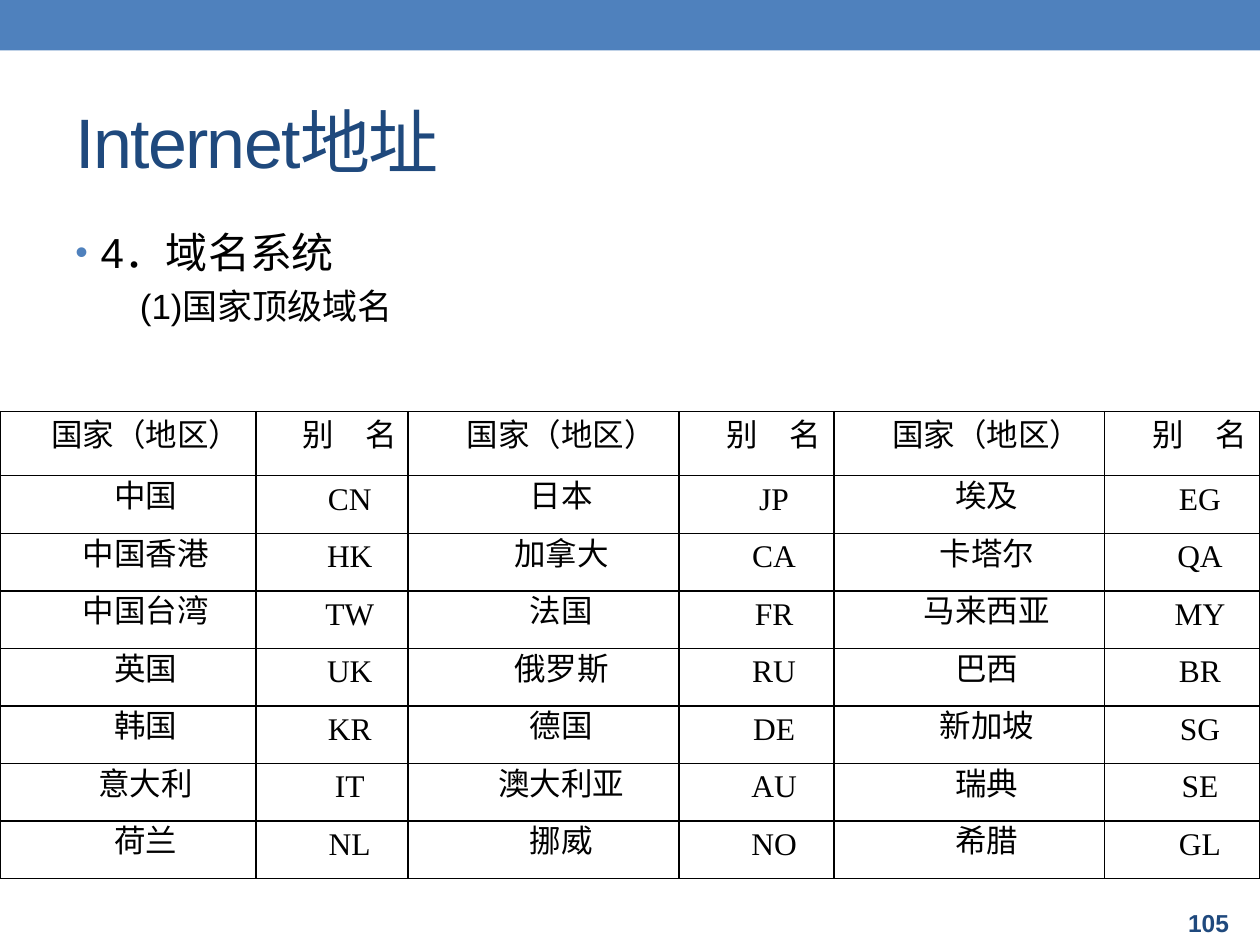
from lxml import etree
from pptx import Presentation
from pptx.dml.color import RGBColor
from pptx.enum.shapes import MSO_SHAPE
from pptx.enum.text import MSO_ANCHOR, MSO_AUTO_SIZE, PP_ALIGN
from pptx.oxml.ns import qn
from pptx.util import Cm, Pt

RECT = MSO_SHAPE.RECTANGLE
MIDDLE, TOP = MSO_ANCHOR.MIDDLE, MSO_ANCHOR.TOP
LEFT, CENTER = PP_ALIGN.LEFT, PP_ALIGN.CENTER
FIXED = MSO_AUTO_SIZE.NONE

COLORS = {"bar": "4F81BD", "title": "1F497D", "text": "000000"}

HEAD = ["国家（地区）", "别　名"] * 3
ROWS = [
    ["中国", "CN", "日本", "JP", "埃及", "EG"],
    ["中国香港", "HK", "加拿大", "CA", "卡塔尔", "QA"],
    ["中国台湾", "TW", "法国", "FR", "马来西亚", "MY"],
    ["英国", "UK", "俄罗斯", "RU", "巴西", "BR"],
    ["韩国", "KR", "德国", "DE", "新加坡", "SG"],
    ["意大利", "IT", "澳大利亚", "AU", "瑞典", "SE"],
    ["荷兰", "NL", "挪威", "NO", "希腊", "GL"],
]
WIDTHS = [5.16, 3.07, 5.46, 3.12, 5.46, 3.13]
HEAD_HIGH, ROW_HIGH = 1.29, 1.16


class Deck:
    sans = "Arial"
    serif = "Times New Roman"

    def __init__(self):
        self.prs = Presentation()
        self.prs.slide_width, self.prs.slide_height = Cm(25.4), Cm(19.05)
        self.slide = self.prs.slides.add_slide(self.prs.slide_layouts[5])

    def color(self, key):
        return RGBColor.from_string(COLORS[key])

    def run(self, para, text, size, key="text", font=sans, bold=False):
        run = para.add_run()
        run.text = text
        run.font.size = Pt(size)
        run.font.name = font
        run.font.bold = bold
        run.font.color.rgb = self.color(key)
        return run

    def indent(self, para, left, first):
        props = para._p.get_or_add_pPr()
        props.set("marL", str(Cm(left)))
        props.set("indent", str(Cm(first)))
        return props

    def bullet(self, para, key):
        props = self.indent(para, 0.51, -0.51)
        tint = etree.SubElement(props, qn("a:buClr"))
        etree.SubElement(tint, qn("a:srgbClr"), val=COLORS[key])
        etree.SubElement(props, qn("a:buSzPct"), val="85000")
        etree.SubElement(props, qn("a:buFont"), typeface=self.sans)
        etree.SubElement(props, qn("a:buChar"), char="•")

    def bar(self, left, top, width, height, key):
        bar = self.slide.shapes.add_shape(
            RECT, Cm(left), Cm(top), Cm(width), Cm(height))
        bar.shadow.inherit = False
        bar.fill.solid()
        bar.fill.fore_color.rgb = self.color(key)
        bar.line.fill.background()

    def title(self, text, left, top, width, height):
        title = self.slide.shapes.title
        title.left, title.top = Cm(left), Cm(top)
        title.width, title.height = Cm(width), Cm(height)
        frame = title.text_frame
        frame.vertical_anchor = MIDDLE
        frame.auto_size = FIXED
        para = frame.paragraphs[0]
        para.alignment = LEFT
        run = self.run(para, text, 40, "title")
        run.font._element.set("spc", "-100")

    def box(self, left, top, width, height, anchor=TOP):
        box = self.slide.shapes.add_textbox(
            Cm(left), Cm(top), Cm(width), Cm(height))
        frame = box.text_frame
        frame.word_wrap = True
        frame.vertical_anchor = anchor
        return frame

    def body(self, head, sub, left, top, width, height):
        frame = self.box(left, top, width, height)
        para = frame.paragraphs[0]
        self.bullet(para, "bar")
        self.run(para, head, 24)
        para = frame.add_paragraph()
        self.indent(para, 1.3, 0)
        para.space_before = Pt(4)
        self.run(para, sub, 20)

    def number(self, text, left, top, width, height):
        frame = self.box(left, top, width, height, MIDDLE)
        self.run(frame.paragraphs[0], text, 14, "title", bold=True)

    def border(self, cell, side, width):
        props = cell._tc.get_or_add_tcPr()
        line = etree.SubElement(props, qn("a:ln" + side), w=str(Pt(width)))
        fill = etree.SubElement(line, qn("a:solidFill"))
        etree.SubElement(fill, qn("a:srgbClr"), val=COLORS["text"])

    def cell(self, cell, text, lines):
        cell.margin_left = cell.margin_right = Cm(0.19)
        cell.margin_top = cell.margin_bottom = 0
        cell.vertical_anchor = MIDDLE
        for side, width in lines.items():
            self.border(cell, side, width)
        cell.fill.background()
        para = cell.text_frame.paragraphs[0]
        para.alignment = CENTER
        para.line_spacing = Pt(14)
        self.indent(para, 0, 0.71)
        self.run(para, text, 18, font=self.serif)

    def table(self, rows, widths, left, top):
        highs = [HEAD_HIGH] + [ROW_HIGH] * (len(rows) - 1)
        table = self.slide.shapes.add_table(
            len(rows), len(widths), Cm(left), Cm(top),
            Cm(sum(widths)), Cm(sum(highs))).table
        table.first_row = table.horz_banding = False
        for col, width in zip(table.columns, widths):
            col.width = Cm(width)
        for row, high in zip(table.rows, highs):
            row.height = Cm(high)
        last = len(widths) - 1
        for r, row in enumerate(rows):
            for c, text in enumerate(row):
                lines = {
                    "L": 1.5 if c and c % 2 == 0 else 1,
                    "R": 1.5 if c < last and c % 2 else 1,
                    "T": 1,
                    "B": 1,
                }
                self.cell(table.cell(r, c), text, lines)


def main():
    deck = Deck()
    deck.bar(0, 0, 25.4, 1.02, "bar")
    deck.title("Internet地址", 1.27, 1.47, 22.86, 2.74)
    deck.body("4．域名系统", "(1)国家顶级域名", 1.27, 4.45, 22.86, 13.54)
    deck.table([HEAD] + ROWS, WIDTHS, 0, 8.3)
    deck.number("105", 23.7, 18.14, 1.7, 0.91)
    deck.prs.save("out.pptx")


if __name__ == "__main__":
    main()
